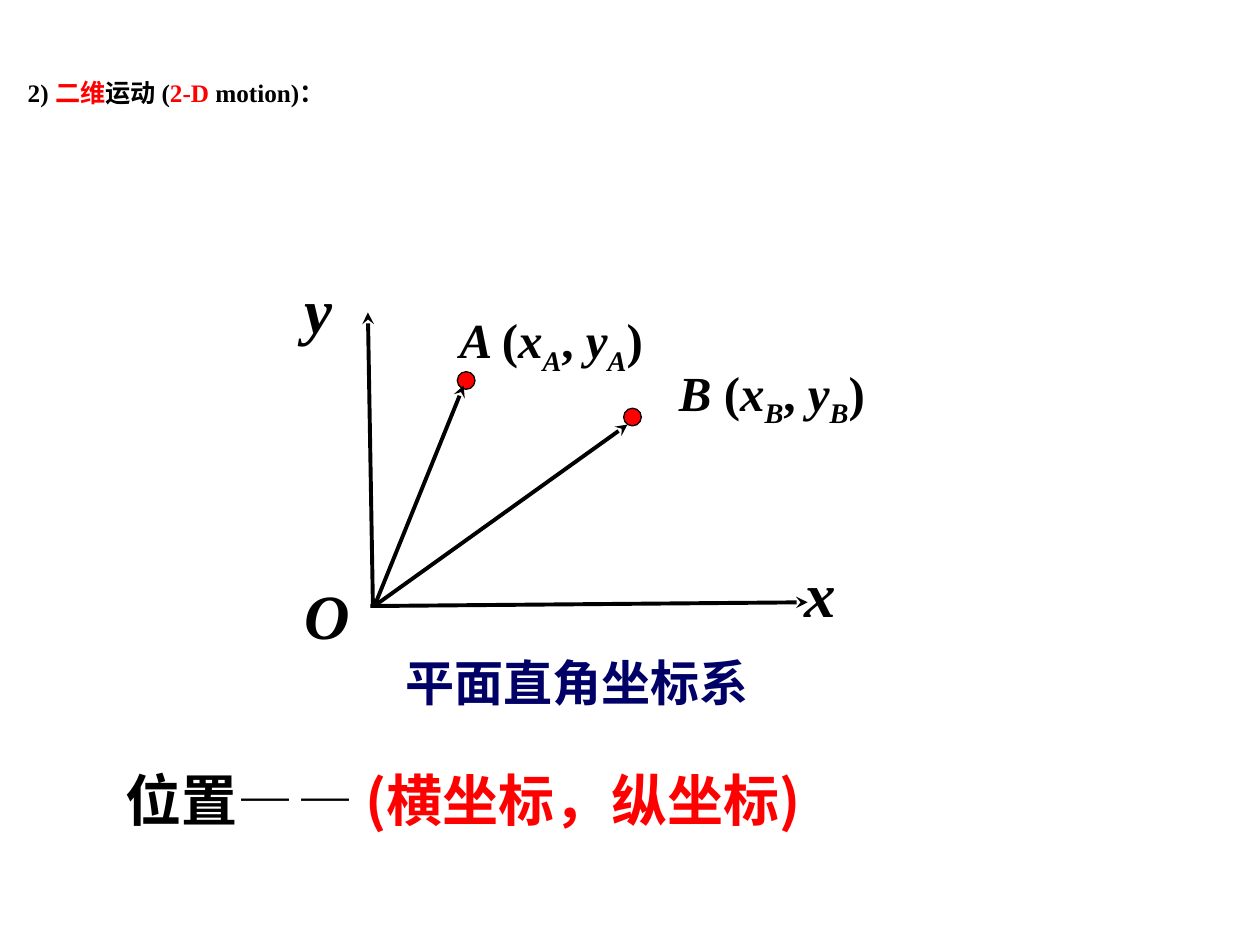
from lxml.etree import SubElement
from pptx import Presentation
from pptx.dml.color import RGBColor
from pptx.enum.shapes import MSO_CONNECTOR, MSO_SHAPE
from pptx.enum.text import MSO_ANCHOR, MSO_AUTO_SIZE, PP_ALIGN
from pptx.oxml.ns import qn
from pptx.util import Inches, Pt

BLACK = RGBColor(0x00, 0x00, 0x00)
RED = RGBColor(0xFF, 0x00, 0x00)
NAVY = RGBColor(0x00, 0x00, 0x66)
SERIF = "Times New Roman"
CHINESE = "Noto Sans CJK SC"
COLUMNS, ROWS = 100, 75


class DiagramSlide:
    """Draws on one slide; all lengths are grid columns and rows."""

    def __init__(self, presentation):
        self.slide = presentation.slides.add_slide(presentation.slide_layouts[5])
        self.column = presentation.slide_width / COLUMNS
        self.row = presentation.slide_height / ROWS

    def place(self, left, top, width, height):
        return (round(left * self.column), round(top * self.row),
                round(width * self.column), round(height * self.row))

    def fill_text(self, text_frame, runs, size, latin=SERIF):
        """Fill the frame with one paragraph; each run is (text, style)."""
        text_frame.word_wrap = True
        text_frame.auto_size = MSO_AUTO_SIZE.NONE
        text_frame.vertical_anchor = MSO_ANCHOR.TOP
        paragraph = text_frame.paragraphs[0]
        paragraph.alignment = PP_ALIGN.LEFT
        for text, style in runs:
            run = paragraph.add_run()
            run.text = text
            font = run.font
            font.name = latin
            font.size = Pt(style.get("size", size))
            font.bold = style.get("bold", True)
            font.italic = style.get("italic", False)
            font.color.rgb = style.get("color", BLACK)
            properties = run._r.get_or_add_rPr()
            SubElement(properties, qn("a:ea")).set("typeface", CHINESE)
            if style.get("subscript"):
                properties.set("baseline", "-25000")
        return paragraph

    def title(self, box, runs, size):
        title = self.slide.shapes.title
        title.left, title.top, title.width, title.height = self.place(*box)
        paragraph = self.fill_text(title.text_frame, runs, size)
        paragraph.line_spacing = 0.8

    def text(self, box, runs, size, latin=SERIF):
        shape = self.slide.shapes.add_textbox(*self.place(*box))
        self.fill_text(shape.text_frame, runs, size, latin)

    def point_label(self, box, name):
        italic = {"italic": True}
        subscript = {"italic": True, "subscript": True}
        self.text(box, [(f"{name} ", italic), ("(", {}),
                        ("x", italic), (name, subscript), (", ", {}),
                        ("y", italic), (name, subscript), (")", {})], 28)

    def dot(self, left, top, diameter=1.4):
        box = self.place(left, top, diameter, diameter)
        shape = self.slide.shapes.add_shape(MSO_SHAPE.OVAL, *box)
        shape.shadow.inherit = False
        shape.fill.solid()
        shape.fill.fore_color.rgb = RED
        shape.line.color.rgb = BLACK
        shape.line.width = Pt(0.75)

    def arrow(self, start, end):
        connector = self.slide.shapes.add_connector(
            MSO_CONNECTOR.STRAIGHT, *self.place(*start, *end))
        connector.line.color.rgb = BLACK
        connector.line.width = Pt(2.25)
        properties = connector._element.spPr
        SubElement(properties.find(qn("a:ln")), qn("a:tailEnd")).set("type", "stealth")
        SubElement(properties, qn("a:effectLst"))


def main():
    presentation = Presentation()
    presentation.slide_width, presentation.slide_height = Inches(10), Inches(7.5)
    diagram = DiagramSlide(presentation)
    red = {"color": RED}

    diagram.title((1.2, 6.1, 97.7, 10.1),
                  [("2) ", {}), ("二维", red), ("运动 (", {}),
                   ("2-D", red), (" motion)：", {})], 14.4)
    diagram.text((9, 60.3, 68.5, 6.4),
                 [("位置", {}), ("—", {"bold": False}),
                  (" ", {"bold": False, "size": 8}), ("— ", {"bold": False}),
                  ("(横坐标，纵坐标)", red)], 32, CHINESE)

    for name, dot, label in (("A", (36.3, 29.5), (35.5, 24.1, 23.7, 7.1)),
                             ("B", (49.5, 32.4), (52.9, 28.3, 41.2, 10.3))):
        diagram.dot(*dot)
        diagram.point_label(label, name)

    for start, end in (((29.7, 48.1), (49.8, 33.7)),   # position vector of B
                       ((29.8, 47.9), (36.8, 30.6)),   # position vector of A
                       ((29.6, 48.2), (29.2, 24.8)),   # y axis
                       ((29.4, 48.1), (64.1, 47.8))):  # x axis
        diagram.arrow(start, end)

    for name, left, top, width in (("x", 62.9, 43.5, 6), ("y", 23.2, 21, 5.3),
                                   ("O", 23.2, 45.3, 8.9)):
        diagram.text((left, top, width, 10.3), [(name, {"italic": True})], 36)
    diagram.text((31.2, 51.3, 29.8, 5.7), [("平面直角坐标系", {"color": NAVY})], 28)

    presentation.save("out.pptx")


if __name__ == "__main__":
    main()
